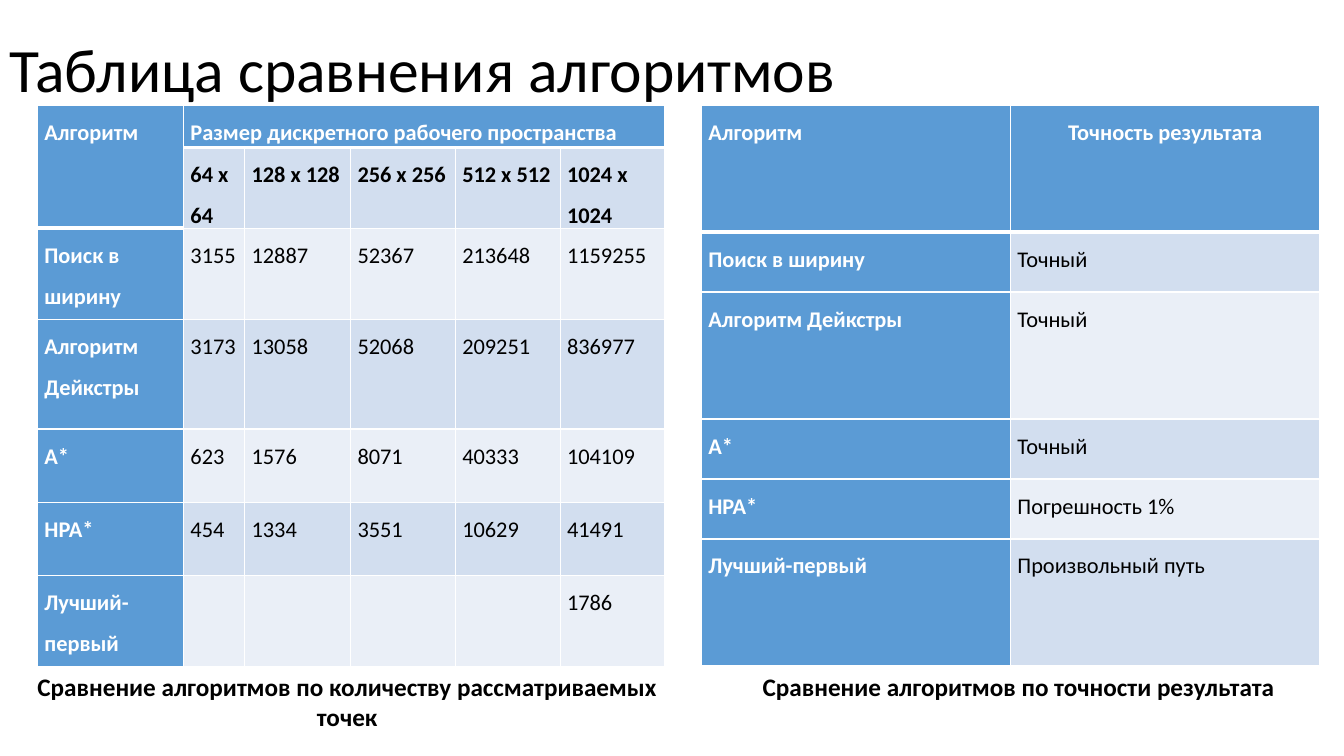
"""Build a slide with two tables comparing pathfinding algorithms."""
from lxml.etree import SubElement
from pptx import Presentation
from pptx.dml.color import RGBColor
from pptx.enum.text import MSO_ANCHOR, PP_ALIGN
from pptx.oxml.ns import qn
from pptx.util import Cm, Pt


def color(value):
    return RGBColor.from_string(value)


def write(tf, text, size, hex_color, bold, align=PP_ALIGN.LEFT, spacing=1.0):
    tf.word_wrap = True
    p = tf.paragraphs[0]
    p.alignment, p.line_spacing = align, spacing
    r = p.add_run()
    r.text = text
    for name, value in {"name": "Calibri", "size": Pt(size), "bold": bold}.items():
        setattr(r.font, name, value)
    r.font.color.rgb = color(hex_color)


ACCENT, BANDS = "5B9BD5", ("EAEFF7", "D2DEEF")
MARGINS = {"margin_left": Cm(0.17), "margin_right": Cm(0.17),
           "margin_top": 0, "margin_bottom": 0}

prs = Presentation()
prs.slide_width, prs.slide_height = Cm(33.87), Cm(19.05)
s = prs.slides.add_slide(prs.slide_layouts[6])

title = s.shapes.add_textbox(0, 0, Cm(29.21), Cm(3.68))
title.text_frame.vertical_anchor = MSO_ANCHOR.MIDDLE
write(title.text_frame, "Таблица сравнения алгоритмов", 44, "000000", False, spacing=0.9)

points = [
    ["Алгоритм", "Размер дискретного рабочего пространства", "", "", "", ""],
    ["", "64 x 64", "128 x 128", "256 x 256", "512 x 512", "1024 x 1024"],
    ["Поиск в ширину", "3155", "12887", "52367", "213648", "1159255"],
    ["Алгоритм Дейкстры", "3173", "13058", "52068", "209251", "836977"],
    ["A*", "623", "1576", "8071", "40333", "104109"],
    ["HPA*", "454", "1334", "3551", "10629", "41491"],
    ["Лучший-первый", "", "", "", "", "1786"],
]
accuracy = [
    ["Алгоритм", "Точность результата"],
    ["Поиск в ширину", "Точный"],
    ["Алгоритм Дейкстры", "Точный"],
    ["A*", "Точный"],
    ["HPA*", "Погрешность 1%"],
    ["Лучший-первый", "Произвольный путь"],
]
tables = [
    (points, 0.95, [3.68, 1.54, 2.67, 2.64, 2.64, 2.64],
     [1.07, 1.85, 2.29, 2.77, 1.85, 1.85, 2.29], 2),
    (accuracy, 17.68, [7.79, 7.79], [3.2, 1.51, 3.2, 1.51, 1.51, 3.2], 1),
]

for rows, left, widths, heights, head_rows in tables:
    frame = s.shapes.add_table(len(rows), len(widths), Cm(left), Cm(2.65),
                               Cm(sum(widths)), Cm(sum(heights)))
    table = frame.table
    for column, width in zip(table.columns, widths):
        column.width = Cm(width)
    for row, height in zip(table.rows, heights):
        row.height = Cm(height)
    if head_rows > 1:
        table.cell(0, 0).merge(table.cell(head_rows - 1, 0))
        table.cell(0, 1).merge(table.cell(0, len(widths) - 1))

    for i, texts in enumerate(rows):
        for j, text in enumerate(texts):
            cell = table.cell(i, j)
            for name, value in MARGINS.items():
                setattr(cell, name, value)
            head_end = head_rows if j == 0 else 1
            borders = {"a:lnL": 1, "a:lnR": 1,
                       "a:lnT": 3 if i == head_end else 1,
                       "a:lnB": 3 if i == head_end - 1 else 1}
            tcPr = cell._tc.get_or_add_tcPr()
            for tag, width in borders.items():
                ln = SubElement(tcPr, qn(tag), w=str(Pt(width)))
                fill = SubElement(ln, qn("a:solidFill"))
                SubElement(fill, qn("a:srgbClr"), val="FFFFFF")
            accent = i == 0 or j == 0
            cell.fill.solid()
            cell.fill.fore_color.rgb = color(ACCENT if accent else BANDS[i % 2])
            if text:
                centered = text == "Точность результата"
                write(cell.text_frame, text, 16, "FFFFFF" if accent else "000000",
                      j == 0 or i < head_rows,
                      PP_ALIGN.CENTER if centered else PP_ALIGN.LEFT, 1.5)

captions = [
    (0.28, 1.8, "Сравнение алгоритмов по количеству рассматриваемых точек"),
    (17.2, 1.02, "Сравнение алгоритмов по точности результата"),
]
for left, height, text in captions:
    sp = s.shapes.add_textbox(Cm(left), Cm(16.79), Cm(16.94), Cm(height))
    write(sp.text_frame, text, 18, "000000", True, PP_ALIGN.CENTER)

prs.save("out.pptx")
